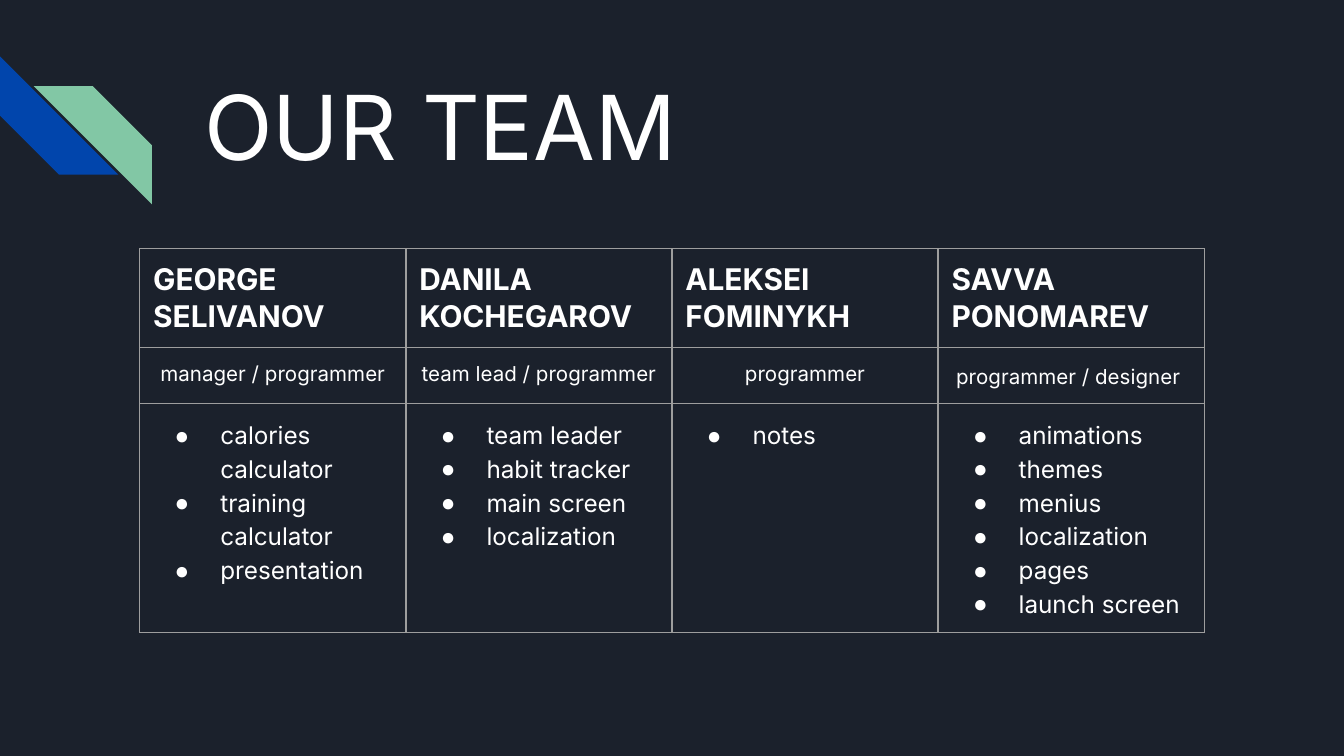
from dataclasses import dataclass

from lxml.etree import SubElement
from pptx import Presentation
from pptx.dml.color import RGBColor
from pptx.enum.shapes import MSO_SHAPE
from pptx.enum.text import MSO_ANCHOR, MSO_AUTO_SIZE, PP_ALIGN
from pptx.oxml import parse_xml
from pptx.oxml.ns import nsdecls, qn
from pptx.slide import Slide
from pptx.table import _Cell
from pptx.util import Emu, Inches, Pt

BACKGROUND = RGBColor(0x1B, 0x21, 0x2C)
BLUE = RGBColor(0x01, 0x45, 0xAC)
GREEN = RGBColor(0x82, 0xC7, 0xA5)
WHITE = RGBColor(0xFF, 0xFF, 0xFF)
BORDER = RGBColor(0x9E, 0x9E, 0x9E)

FONT = "Inter"
BULLET_FONT = "Arial"
SLIDE_WIDTH = Inches(10)
SLIDE_HEIGHT = Emu(SLIDE_WIDTH * 9 // 16)
MARGIN = Inches(0.1)
COLUMN_WIDTH = Inches(1.98)
ROW_HEIGHTS = [Inches(0.73), Inches(0.33), Inches(1.61)]


@dataclass
class Stripe:
    left: float
    top: float
    rotation: int
    color: RGBColor


@dataclass
class Member:
    name: list[str]
    role: str
    tasks: list[str]
    role_format: dict


STRIPES = [Stripe(0, 0.42, 270, BLUE), Stripe(0.25, 0.64, 90, GREEN)]

TEAM = [
    Member(["GEORGE SELIVANOV"], "manager / programmer",
           ["calories calculator", "training calculator", "presentation"], {}),
    Member(["DANILA KOCHEGAROV"], "team lead / programmer",
           ["team leader", "habit tracker", "main screen", "localization"], {}),
    Member(["ALEKSEI", "FOMINYKH"], "programmer", ["notes"], {}),
    Member(["SAVVA PONOMAREV"], "programmer / designer ",
           ["animations", "themes", "menius", "localization", "pages", "launch screen"],
           {"line_spacing": 1.15, "space_after": 12}),
]


def add_bullet(paragraph) -> None:
    properties = paragraph._p.get_or_add_pPr()
    properties.set("marL", str(Inches(0.5)))
    properties.set("indent", str(-Inches(0.34)))
    color = SubElement(properties, qn("a:buClr"))
    SubElement(color, qn("a:srgbClr"), val=str(WHITE))
    SubElement(properties, qn("a:buFont"), typeface=BULLET_FONT)
    SubElement(properties, qn("a:buChar"), char="●")


def write_text(frame, lines: list[str], *, size: float, bold: bool = False,
               align=PP_ALIGN.LEFT, line_spacing: float = 1.0,
               space_after: float = 0, bulleted: bool = False) -> None:
    for index, line in enumerate(lines):
        paragraph = frame.add_paragraph() if index else frame.paragraphs[0]
        paragraph.alignment = align
        paragraph.line_spacing = line_spacing
        paragraph.space_after = Pt(space_after)
        if bulleted:
            add_bullet(paragraph)
        run = paragraph.add_run()
        run.text = line
        run.font.name = FONT
        run.font.size = Pt(size)
        run.font.bold = bold
        run.font.color.rgb = WHITE


def set_margins(target) -> None:
    target.margin_left = target.margin_right = MARGIN
    target.margin_top = target.margin_bottom = MARGIN


def draw_stripe(slide: Slide, stripe: Stripe) -> None:
    side = Inches(0.88)
    shape = slide.shapes.add_shape(MSO_SHAPE.DIAGONAL_STRIPE, Inches(stripe.left),
                                   Inches(stripe.top), side, side)
    shape.rotation = stripe.rotation
    shape.shadow.inherit = False
    shape.fill.solid()
    shape.fill.fore_color.rgb = stripe.color
    shape.line.fill.background()


def draw_title(slide: Slide, text: str) -> None:
    title = slide.shapes.title
    title.left, title.top = Inches(1.42), Inches(0.43)
    title.width, title.height = Inches(7.7), Inches(1)
    frame = title.text_frame
    frame.word_wrap = True
    frame.auto_size = MSO_AUTO_SIZE.NONE
    frame.vertical_anchor = MSO_ANCHOR.TOP
    set_margins(frame)
    write_text(frame, [text], size=48)


def format_cell(cell: _Cell) -> None:
    set_margins(cell)
    cell.fill.background()
    properties = cell._tc.get_or_add_tcPr()
    for position, side in enumerate(("lnL", "lnR", "lnT", "lnB")):
        properties.insert(position, parse_xml(
            f'<a:{side} {nsdecls("a")} w="{Pt(0.75)}"><a:solidFill>'
            f'<a:srgbClr val="{BORDER}"/></a:solidFill></a:{side}>'))


def draw_team(slide: Slide, team: list[Member]) -> None:
    table = slide.shapes.add_table(
        len(ROW_HEIGHTS), len(team), Inches(1.04), Inches(1.85),
        Emu(COLUMN_WIDTH * len(team)), Emu(sum(ROW_HEIGHTS))).table
    table.first_row = table.horz_banding = False
    for row, height in zip(table.rows, ROW_HEIGHTS):
        row.height = height
    for index, member in enumerate(team):
        table.columns[index].width = COLUMN_WIDTH
        name, role, tasks = (table.cell(row, index) for row in range(len(ROW_HEIGHTS)))
        for cell in (name, role, tasks):
            format_cell(cell)
        write_text(name.text_frame, member.name, size=16, bold=True)
        write_text(role.text_frame, [member.role], size=11,
                   align=PP_ALIGN.CENTER, **member.role_format)
        write_text(tasks.text_frame, member.tasks, size=13,
                   line_spacing=1.15, bulleted=True)


def main() -> None:
    presentation = Presentation()
    presentation.slide_width, presentation.slide_height = SLIDE_WIDTH, SLIDE_HEIGHT

    # Slide with a title and a dark background
    slide = presentation.slides.add_slide(presentation.slide_layouts[5])
    slide.background.fill.solid()
    slide.background.fill.fore_color.rgb = BACKGROUND

    # Corner decoration
    for stripe in STRIPES:
        draw_stripe(slide, stripe)

    # Title and team table
    draw_title(slide, "OUR TEAM")
    draw_team(slide, TEAM)

    presentation.save("out.pptx")


if __name__ == "__main__":
    main()
